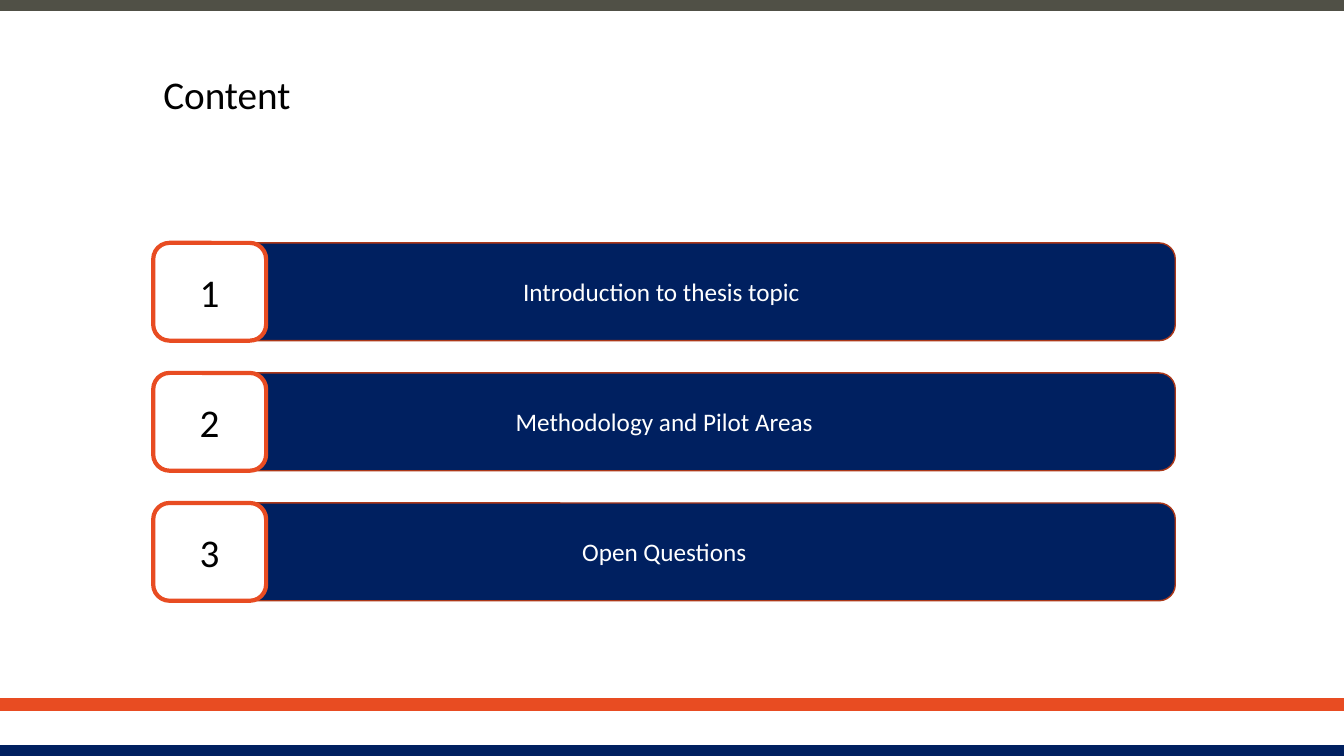
"""Build the thesis content slide."""
from dataclasses import dataclass

from pptx import Presentation
from pptx.dml.color import RGBColor
from pptx.enum.shapes import MSO_SHAPE
from pptx.enum.text import MSO_ANCHOR, PP_ALIGN
from pptx.shapes.autoshape import Shape
from pptx.slide import Slide
from pptx.text.text import _Paragraph
from pptx.util import Pt

COLORS = {
    "navy": "002060", "orange": "E84C22", "rust": "AC3819",
    "gray": "505046", "white": "FFFFFF", "black": "000000",
}
SLIDE_W, SLIDE_H = 960, 540
LEFT, FIRST_TOP, PITCH, ROW_H = 109.44, 173.52, 92.88, 69.84
TOPICS = ["Introduction to thesis topic ", "Methodology and Pilot Areas", "Open Questions"]


@dataclass(frozen=True)
class Band:
    """A full-width stripe."""
    top: float
    color: str


@dataclass(frozen=True)
class BoxStyle:
    """The look of one kind of rounded box."""
    width: float
    fill: str
    line: str
    line_width: float
    size: float
    color: str


BANDS = [Band(500.4, "orange"), Band(501.12, "orange"), Band(533.52, "navy"), Band(1.44, "gray")]
BAR = BoxStyle(730.08, "navy", "rust", 1, 18, "white")
BADGE = BoxStyle(80.64, "white", "orange", 3, 28, "black")


def rgb(name: str) -> RGBColor:
    """Return the named color."""
    return RGBColor.from_string(COLORS[name])


def add_run(p: _Paragraph, text: str, size: float, color: str) -> None:
    """Add one formatted run."""
    r = p.add_run()
    r.text = text
    r.font.name = "Calibri"
    r.font.size = Pt(size)
    r.font.color.rgb = rgb(color)


def paint(sp: Shape, fill: str, line: str, line_width: float) -> None:
    """Set the fill and outline and drop the shadow."""
    sp.shadow.inherit = False
    sp.fill.solid()
    sp.fill.fore_color.rgb = rgb(fill)
    sp.line.color.rgb = rgb(line)
    sp.line.width = Pt(line_width)


def add_band(s: Slide, band: Band) -> None:
    """Draw a stripe across the slide."""
    sp = s.shapes.add_shape(MSO_SHAPE.RECTANGLE, 0, Pt(band.top), Pt(SLIDE_W), Pt(5.04))
    paint(sp, band.color, band.color, 3)


def add_box(s: Slide, row: int, text: str, style: BoxStyle) -> None:
    """Draw a rounded box with centered text in the given row."""
    sp = s.shapes.add_shape(MSO_SHAPE.ROUNDED_RECTANGLE, Pt(LEFT), Pt(FIRST_TOP + row * PITCH),
                            Pt(style.width), Pt(ROW_H))
    paint(sp, style.fill, style.line, style.line_width)
    tf = sp.text_frame
    tf.word_wrap = True
    tf.vertical_anchor = MSO_ANCHOR.MIDDLE
    p = tf.paragraphs[0]
    p.alignment = PP_ALIGN.CENTER
    add_run(p, text, style.size, style.color)


def add_title(s: Slide, text: str) -> None:
    """Place and format the title."""
    sp = s.shapes.title
    sp.left, sp.top, sp.width, sp.height = Pt(LEFT), Pt(50.4), Pt(716.4), Pt(44.64)
    tf = sp.text_frame
    tf.vertical_anchor = MSO_ANCHOR.TOP
    p = tf.paragraphs[0]
    p.alignment = PP_ALIGN.LEFT
    p.line_spacing = 0.9
    p.space_before = Pt(0)
    add_run(p, text, 28, "black")


def main() -> None:
    """Build and save the slide."""
    prs = Presentation()
    prs.slide_width, prs.slide_height = Pt(SLIDE_W), Pt(SLIDE_H)
    s = prs.slides.add_slide(prs.slide_layouts[5])
    s.background.fill.solid()
    s.background.fill.fore_color.rgb = rgb("white")
    for band in BANDS:
        add_band(s, band)
    add_title(s, "Content")
    for row, topic in enumerate(TOPICS):
        add_box(s, row, topic, BAR)
    for row in range(len(TOPICS)):
        add_box(s, row, str(row + 1), BADGE)
    prs.save("out.pptx")


if __name__ == "__main__":
    main()
